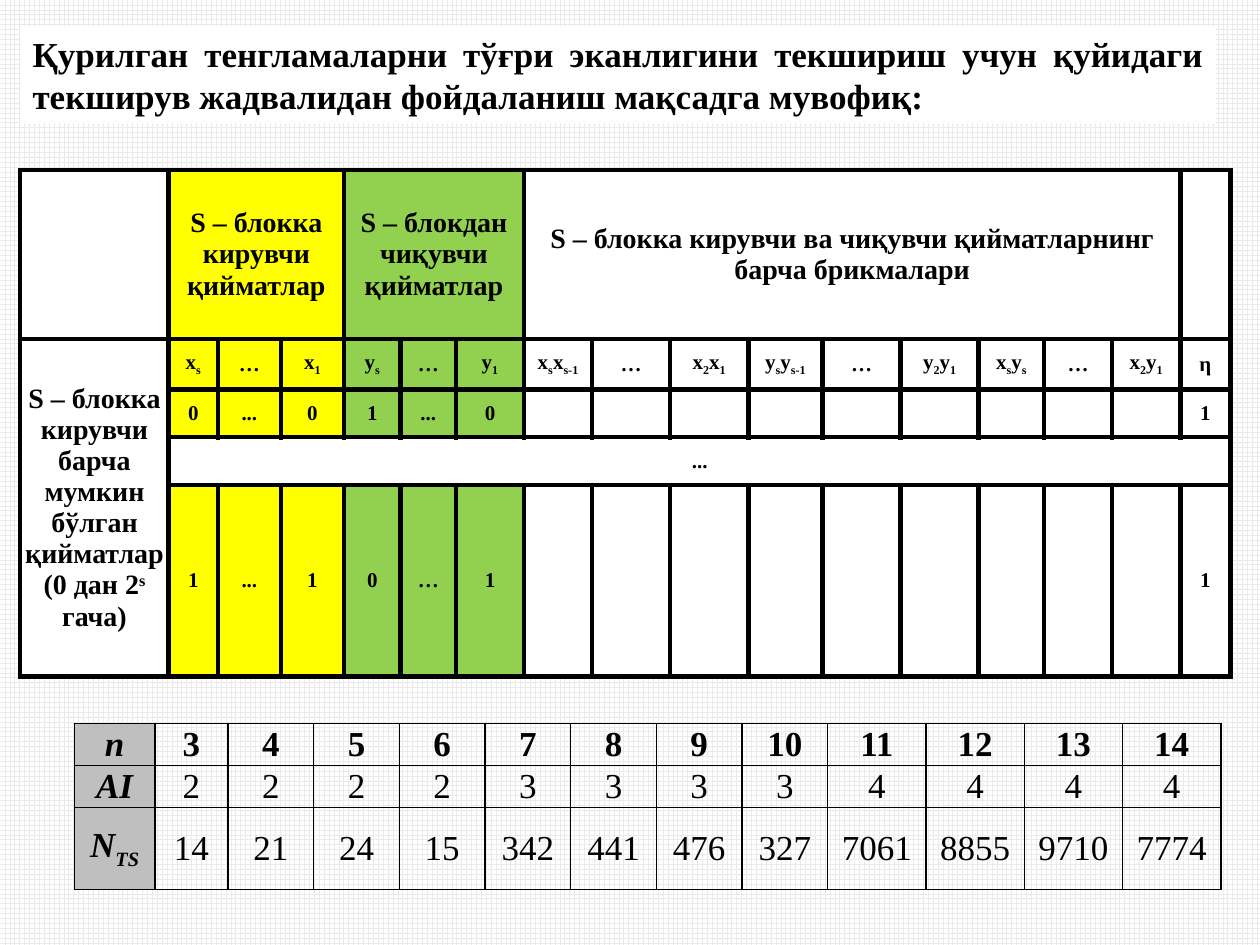
from lxml import etree
from pptx import Presentation
from pptx.dml.color import RGBColor
from pptx.enum.dml import MSO_PATTERN
from pptx.enum.shapes import MSO_SHAPE
from pptx.enum.text import MSO_ANCHOR, MSO_AUTO_SIZE, PP_ALIGN
from pptx.oxml import parse_xml
from pptx.oxml.ns import nsdecls
from pptx.util import Inches, Pt

COLORS = {"black": "000000", "white": "FFFFFF", "grid": "EAEAEA",
          "input": "FFFF00", "output": "92D050", "label": "BFBFBF"}
BASELINES = {"_": "-25000", "^": "30000"}

TITLE = ("Қурилган тенгламаларни тўғри эканлигини текшириш учун қуйидаги "
         "текширув жадвалидан фойдаланиш мақсадга мувофиқ:")

CHECK_COLS = [1.18, 0.39, 0.5, 0.5, 0.45, 0.44, 0.54, 0.54, 0.62, 0.62,
              0.59, 0.62, 0.62, 0.52, 0.54, 0.54, 0.4]
CHECK_ROWS = [1.34, 0.4, 0.38, 0.38, 1.52]
CHECK_FILLS = ["white"] + ["input"] * 3 + ["output"] * 3 + ["white"] * 10
# (first row, first column, last row, last column): text
CHECK_HEADINGS = {
    (0, 1, 0, 3): "S – блокка кирувчи қийматлар",
    (0, 4, 0, 6): "S – блокдан чиқувчи қийматлар",
    (0, 7, 0, 15): "S – блокка кирувчи ва чиқувчи қийматларнинг\nбарча брикмалари",
    (1, 0, 4, 0): "S – блокка кирувчи барча мумкин бўлган қийматлар (0 дан 2|^s| гача)",
}
# A vertical bar separates runs; "_" lowers a run and "^" raises it.
VARIABLES = ["x|_s", "…", "x|_1", "y|_s", "…", "y|_1",
             "x|_s|x|_s-1", "…", "x|_2|x|_1", "y|_s|y|_s-1", "…", "y|_2|y|_1",
             "x|_s|y|_s", "…", "x|_2|y|_1", "η"]
BLANKS = [""] * 9
CHECK_VALUES = {
    1: VARIABLES,
    2: ["0", "...", "0", "1", "...", "0", *BLANKS, "1"],
    4: ["1", "...", "1", "0", "…", "1", *BLANKS, "1"],
}

RESULT_COLS = [0.64, 0.58] + [0.68] * 7 + [0.78] * 4
RESULT_ROWS = [0.33, 0.33, 0.65]
RESULTS = [
    ["n", *map(str, range(3, 15))],
    ["AI", *"222233334444"],
    ["N|_TS", "14", "21", "24", "15", "342", "441", "476", "327",
     "7061", "8855", "9710", "7774"],
]


def rgb(name):
    return RGBColor.from_string(COLORS[name])


def set_all(target, values):
    for name, value in values.items():
        setattr(target, name, value)


def write(frame, text, size, align=PP_ALIGN.CENTER, bold=True, italic=False):
    """Fill a text frame; each line is a paragraph, each bar starts a run."""
    style = {"name": "Times New Roman", "size": Pt(size), "bold": bold, "italic": italic}
    for index, line in enumerate(text.split("\n")):
        para = frame.add_paragraph() if index else frame.paragraphs[0]
        para.alignment = align
        for part in line.split("|"):
            span = para.add_run()
            span.text = part.lstrip("_^")
            set_all(span.font, style)
            span.font.color.rgb = rgb("black")
            if part[:1] in BASELINES:
                span.font._element.set("baseline", BASELINES[part[0]])


def set_borders(cell, points):
    properties = cell._tc.get_or_add_tcPr()
    for side in ("lnL", "lnR", "lnT", "lnB"):
        line = parse_xml(f'<a:{side} {nsdecls("a")} w="{Pt(points)}"/>')
        fill = etree.SubElement(line, line.tag.replace(side, "solidFill"))
        color = etree.SubElement(fill, line.tag.replace(side, "srgbClr"))
        color.set("val", COLORS["black"])
        properties.append(line)


def add_grid(page, left, top, widths, heights, border, margin):
    """Add a plain bordered table with the given columns and rows."""
    grid = page.shapes.add_table(len(heights), len(widths), Inches(left), Inches(top),
                                 Inches(sum(widths)), Inches(sum(heights))).table
    set_all(grid, {"first_row": False, "horz_banding": False})
    for column, width in zip(grid.columns, widths):
        column.width = Inches(width)
    for row, height in zip(grid.rows, heights):
        row.height = Inches(height)
    layout = {"vertical_anchor": MSO_ANCHOR.MIDDLE, "margin_top": 0, "margin_bottom": 0,
              "margin_left": Inches(margin), "margin_right": Inches(margin)}
    for cell in grid.iter_cells():
        set_all(cell, layout)
        set_borders(cell, border)
    return grid


def fill_cell(cell, color):
    cell.fill.solid()
    cell.fill.fore_color.rgb = rgb(color)


def add_title(page):
    box = page.shapes.add_shape(MSO_SHAPE.RECTANGLE, Inches(0.16), Inches(0.21),
                                Inches(9.49), Inches(0.77))
    box.shadow.inherit = False
    fill_cell(box, "white")
    box.line.fill.background()
    set_all(box.text_frame, {"word_wrap": True, "vertical_anchor": MSO_ANCHOR.MIDDLE,
                             "auto_size": MSO_AUTO_SIZE.SHAPE_TO_FIT_TEXT})
    write(box.text_frame, TITLE, 20, PP_ALIGN.JUSTIFY)


def add_check_table(page):
    grid = add_grid(page, 0.16, 1.35, CHECK_COLS, CHECK_ROWS, 3, 0.02)
    for row in range(len(CHECK_ROWS)):
        for column, color in enumerate(CHECK_FILLS):
            fill_cell(grid.cell(row, column), "white" if row == 3 else color)
    for (row, column, last_row, last_column), text in CHECK_HEADINGS.items():
        grid.cell(row, column).merge(grid.cell(last_row, last_column))
        write(grid.cell(row, column).text_frame, text, 16)
    for row, values in CHECK_VALUES.items():
        for column, text in enumerate(values, 1):
            if text:
                write(grid.cell(row, column).text_frame, text, 12)
    grid.cell(3, 1).merge(grid.cell(3, 16))
    write(grid.cell(3, 1).text_frame, "...", 12)


def add_result_table(page):
    grid = add_grid(page, 0.59, 5.74, RESULT_COLS, RESULT_ROWS, 1, 0.07)
    for row, values in enumerate(RESULTS):
        for column, text in enumerate(values):
            cell = grid.cell(row, column)
            is_label = column == 0
            if is_label:
                fill_cell(cell, "label")
            else:
                cell.fill.background()
            write(cell.text_frame, text, 20, bold=is_label or row == 0, italic=is_label)


def main():
    deck = Presentation()
    set_all(deck, {"slide_width": Inches(10), "slide_height": Inches(7.5)})
    page = deck.slides.add_slide(deck.slide_layouts[6])
    backdrop = page.background.fill
    backdrop.patterned()
    backdrop.pattern = MSO_PATTERN.LARGE_GRID
    backdrop.fore_color.rgb = rgb("grid")
    backdrop.back_color.rgb = rgb("white")
    add_title(page)
    add_check_table(page)
    add_result_table(page)
    deck.save("out.pptx")


if __name__ == "__main__":
    main()
